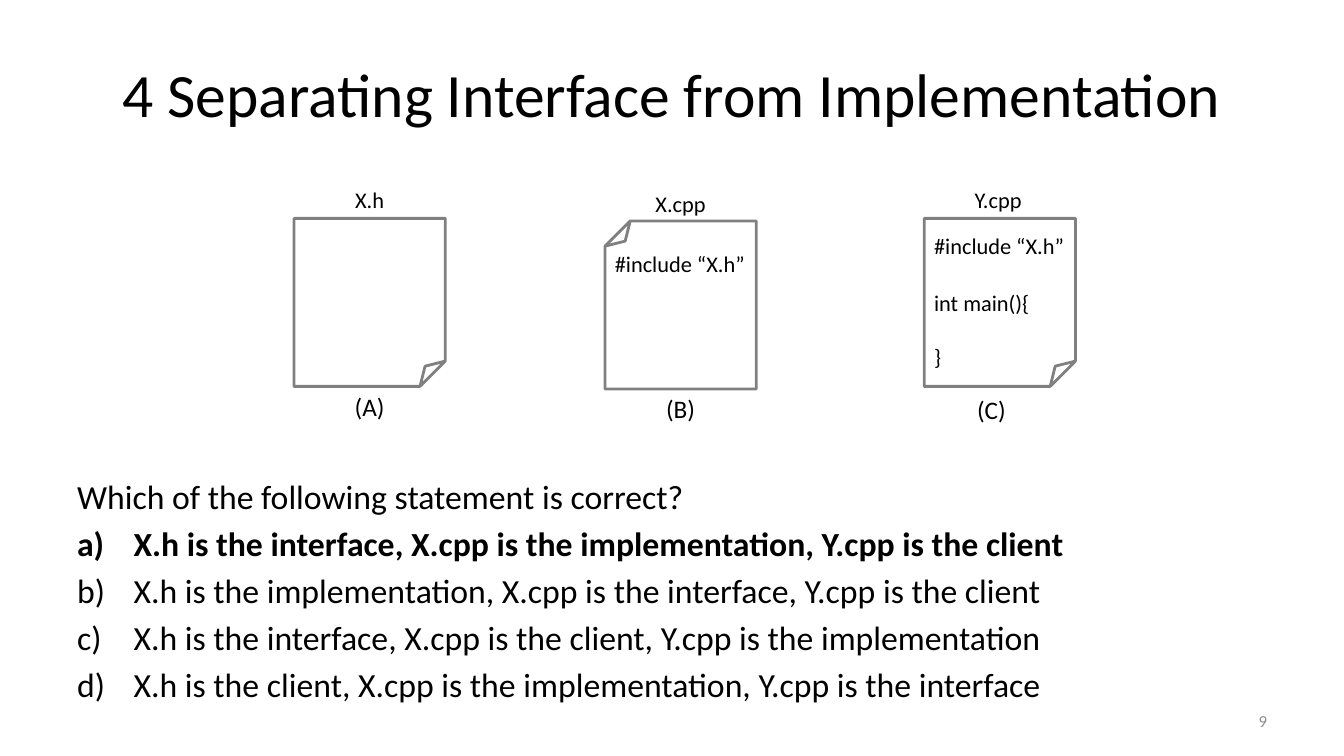
from lxml.etree import SubElement
from pptx import Presentation
from pptx.dml.color import RGBColor
from pptx.enum.shapes import MSO_SHAPE
from pptx.enum.text import MSO_ANCHOR, PP_ALIGN
from pptx.oxml.ns import qn
from pptx.util import Inches, Pt

BLACK = RGBColor(0x00, 0x00, 0x00)
GRAY = RGBColor(0x80, 0x80, 0x80)
NUMBER_GRAY = RGBColor(0x8C, 0x8C, 0x8C)
WHITE = RGBColor(0xFF, 0xFF, 0xFF)

FILE_WIDTH, FILE_HEIGHT = 18, 20
FILES = [
    {"name": "X.h", "mark": "(A)", "column": 35, "row": 26, "turn": 0,
     "name_at": (35, 21.6), "mark_at": (35, 46), "code": []},
    {"name": "X.cpp", "mark": "(B)", "column": 72, "row": 26.3, "turn": 180,
     "name_at": (72, 22), "mark_at": (72, 46.2),
     "code": [(72, 29.2, ["#include “X.h”"])]},
    {"name": "Y.cpp", "mark": "(C)", "column": 110, "row": 26, "turn": 0,
     "name_at": (109.8, 21.6), "mark_at": (109, 46.3),
     "code": [(110, 27.1, ["#include “X.h”"]),
              (110, 33.8, ["int main(){", "}"])]},
]
QUESTION = "Which of the following statement is correct?"
ANSWERS = [
    "X.h is the interface, X.cpp is the implementation, Y.cpp is the client",
    "X.h is the implementation, X.cpp is the interface, Y.cpp is the client",
    "X.h is the interface, X.cpp is the client, Y.cpp is the implementation",
    "X.h is the client, X.cpp is the implementation, Y.cpp is the interface",
]
CORRECT = 0


class Page:
    """Draws styled elements on a slide grid of 160 columns by 90 rows."""

    font = "Calibri"
    unit = Inches(7.5) / 90

    def __init__(self, deck):
        self.slide = deck.slides.add_slide(deck.slide_layouts[6])
        self.slide.background.fill.solid()
        self.slide.background.fill.fore_color.rgb = WHITE

    def grid(self, *lengths):
        return [round(length * self.unit) for length in lengths]

    def box(self, column, row, width, height, anchor=MSO_ANCHOR.TOP):
        frame = self.slide.shapes.add_textbox(
            *self.grid(column, row, width, height)).text_frame
        frame.word_wrap = True
        frame.vertical_anchor = anchor
        return frame

    def paragraph(self, frame, text, size, align=PP_ALIGN.LEFT, color=BLACK,
                  bold=False, gap=0, lettered=False):
        first = not frame.paragraphs[0].runs
        para = frame.paragraphs[0] if first else frame.add_paragraph()
        if lettered:
            properties = para._p.get_or_add_pPr()
            indent = Inches(0.56)
            properties.set("marL", str(indent))
            properties.set("indent", str(-indent))
            SubElement(properties, qn("a:buAutoNum"), type="alphaLcParenR")
        para.alignment = align
        para.space_before = Pt(0 if first else gap)
        span = para.add_run()
        span.text = text
        span.font.name = self.font
        span.font.size = Pt(size)
        span.font.bold = bold
        span.font.color.rgb = color

    def label(self, place, text, size, **style):
        anchor = style.pop("anchor", MSO_ANCHOR.TOP)
        style.setdefault("align", PP_ALIGN.CENTER)
        self.paragraph(self.box(*place, anchor), text, size, **style)

    def code(self, column, row, lines):
        frame = self.box(column, row, FILE_WIDTH, 4.4 if len(lines) == 1 else 10.9)
        frame.margin_right = 0
        for line in lines:
            self.paragraph(frame, line, 16, gap=19.5)

    def sheet(self, column, row, turn):
        shape = self.slide.shapes.add_shape(
            MSO_SHAPE.FOLDED_CORNER,
            *self.grid(column, row, FILE_WIDTH, FILE_HEIGHT))
        shape.shadow.inherit = False
        shape.fill.background()
        shape.line.color.rgb = GRAY
        shape.line.width = Pt(2)
        shape.rotation = turn

    def source_file(self, file):
        self.sheet(file["column"], file["row"], file["turn"])
        self.label((*file["name_at"], FILE_WIDTH, 4.4), file["name"], 16)
        self.label((*file["mark_at"], FILE_WIDTH, 4.8), file["mark"], 18)
        for column, row, lines in file["code"]:
            self.code(column, row, lines)

    def quiz(self, place, question, answers):
        frame = self.box(*place)
        self.paragraph(frame, question, 24.1)
        for index, answer in enumerate(answers):
            self.paragraph(frame, answer, 24.1, bold=index == CORRECT,
                           gap=4.8, lettered=True)


def main():
    deck = Presentation()
    deck.slide_width, deck.slide_height = Inches(13.33), Inches(7.5)
    page = Page(deck)
    page.label((8, 3.6, 144, 15), "4 Separating Interface from Implementation",
               44, anchor=MSO_ANCHOR.MIDDLE)
    for file in FILES:
        page.source_file(file)
    page.quiz((8, 56, 144, 24.5), QUESTION, ANSWERS)
    page.label((114.7, 83.4, 37.3, 4.8), "9", 12, align=PP_ALIGN.RIGHT,
               color=NUMBER_GRAY, anchor=MSO_ANCHOR.MIDDLE)
    deck.save("out.pptx")


if __name__ == "__main__":
    main()
